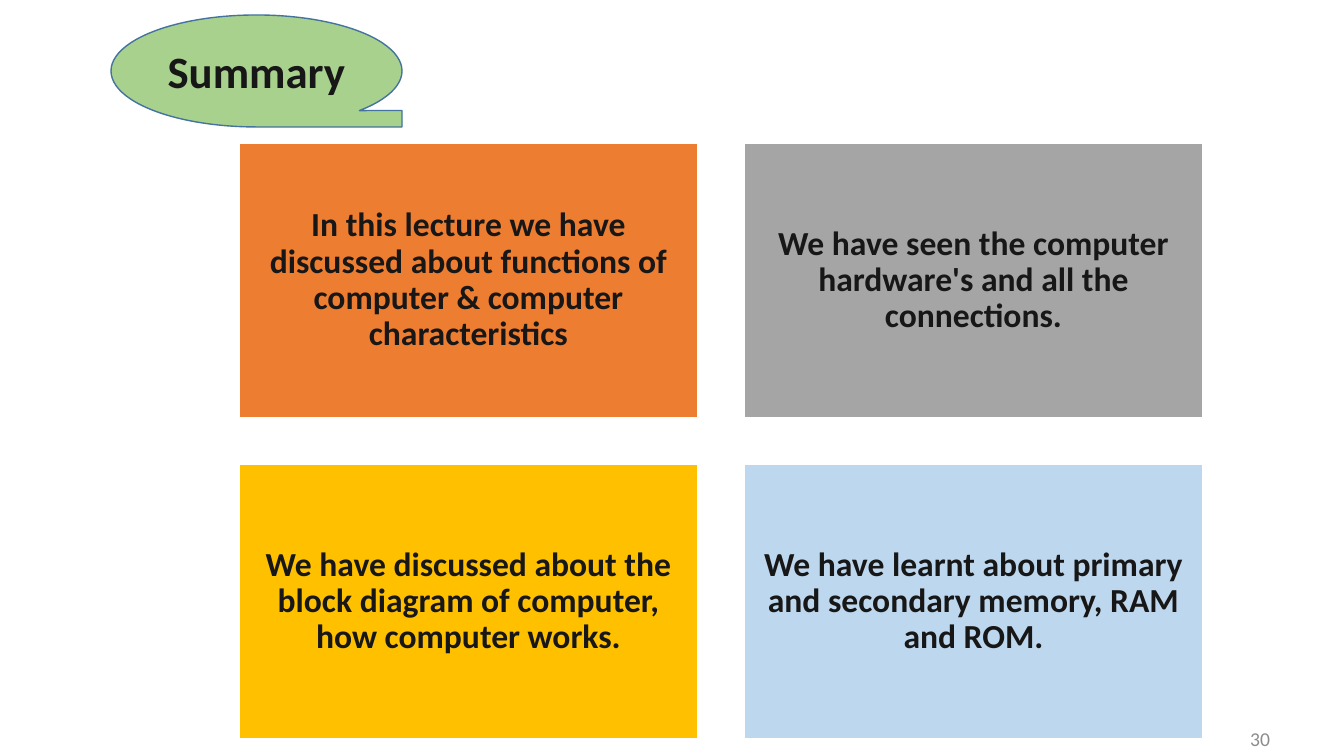
import pptx
import pptx.dml.color
import pptx.enum.shapes
import pptx.enum.text
import pptx.util

RGBColor = pptx.dml.color.RGBColor
Shapes = pptx.enum.shapes.MSO_SHAPE
Align = pptx.enum.text.PP_ALIGN

EMU_PER_PX = 914400 / 100.8
SLIDE_SIZE = (1344, 756)

WHITE = RGBColor(0xFF, 0xFF, 0xFF)
INK = RGBColor(0x18, 0x17, 0x17)
GREY_TEXT = RGBColor(0x8C, 0x8C, 0x8C)
GREEN = RGBColor(0xA9, 0xD1, 0x8E)
BLUE_LINE = RGBColor(0x43, 0x73, 0x9E)
ORANGE = RGBColor(0xED, 0x7D, 0x31)
GREY = RGBColor(0xA5, 0xA5, 0xA5)
GOLD = RGBColor(0xFF, 0xC0, 0x00)
PALE_BLUE = RGBColor(0xBD, 0xD7, 0xEE)

TITLE_BOX = (111, 15, 291, 112)
NUMBER_BOX = (1054, 736, 226, 5)

# Summary cards: two columns, filled row by row
CARD_LEFT, CARD_TOP = 239, 143
CARD_WIDTH, CARD_HEIGHT = 459, 275
CARD_GAP = 46
COLUMNS = 2
CARDS = [
    ("In this lecture we have discussed about functions of computer & computer characteristics", ORANGE),
    ("We have seen the computer hardware's and all the connections.", GREY),
    ("We have discussed about the block diagram of computer, how computer works.", GOLD),
    ("We have learnt about primary and secondary memory, RAM and ROM.", PALE_BLUE),
]


def px(length):
    return pptx.util.Emu(round(length * EMU_PER_PX))


def set_attributes(target, values):
    for name, value in values.items():
        setattr(target, name, value)


def write_text(shape, text, size, color=INK, bold=True, align=Align.CENTER, spacing=1.0):
    frame = shape.text_frame
    set_attributes(frame, {
        "text": text,
        "word_wrap": True,
        "auto_size": pptx.enum.text.MSO_AUTO_SIZE.NONE,
        "vertical_anchor": pptx.enum.text.MSO_ANCHOR.MIDDLE,
    })
    paragraph = frame.paragraphs[0]
    set_attributes(paragraph, {"alignment": align, "line_spacing": spacing})
    font = paragraph.runs[0].font
    set_attributes(font, {"name": "Calibri", "size": pptx.util.Pt(size), "bold": bold})
    font.color.rgb = color


def add_filled_shape(slide, kind, box, fill, line):
    shape = slide.shapes.add_shape(kind, *map(px, box))
    shape.shadow.inherit = False
    shape.fill.solid()
    shape.fill.fore_color.rgb = fill
    shape.line.color.rgb = line
    shape.line.width = pptx.util.Pt(1)
    return shape


def add_title(slide, text):
    tape = add_filled_shape(slide, Shapes.FLOWCHART_SEQUENTIAL_ACCESS_STORAGE,
                            TITLE_BOX, GREEN, BLUE_LINE)
    title = slide.shapes.title
    # The tape belongs behind the title text
    title._element.addprevious(tape._element)
    set_attributes(title, dict(zip(("left", "top", "width", "height"), map(px, TITLE_BOX))))
    write_text(title, text, 32)


def add_card(slide, index, text, fill):
    row, column = divmod(index, COLUMNS)
    left = CARD_LEFT + column * (CARD_WIDTH + CARD_GAP)
    top = CARD_TOP + row * (CARD_HEIGHT + CARD_GAP)
    card = add_filled_shape(slide, Shapes.RECTANGLE,
                            (left, top, CARD_WIDTH, CARD_HEIGHT), fill, WHITE)
    margins = ("margin_left", "margin_top", "margin_right", "margin_bottom")
    set_attributes(card.text_frame, dict.fromkeys(margins, px(10)))
    write_text(card, text, 24, spacing=0.9)


def add_slide_number(slide, text):
    number = slide.shapes.add_textbox(*map(px, NUMBER_BOX))
    write_text(number, text, 14, color=GREY_TEXT, bold=False, align=Align.RIGHT)


def main():
    presentation = pptx.Presentation()
    width, height = map(px, SLIDE_SIZE)
    set_attributes(presentation, {"slide_width": width, "slide_height": height})
    slide = presentation.slides.add_slide(presentation.slide_layouts.get_by_name("Title Only"))

    add_slide_number(slide, "30")
    add_title(slide, "Summary")
    for index, (text, fill) in enumerate(CARDS):
        add_card(slide, index, text, fill)

    presentation.save("out.pptx")


if __name__ == "__main__":
    main()
